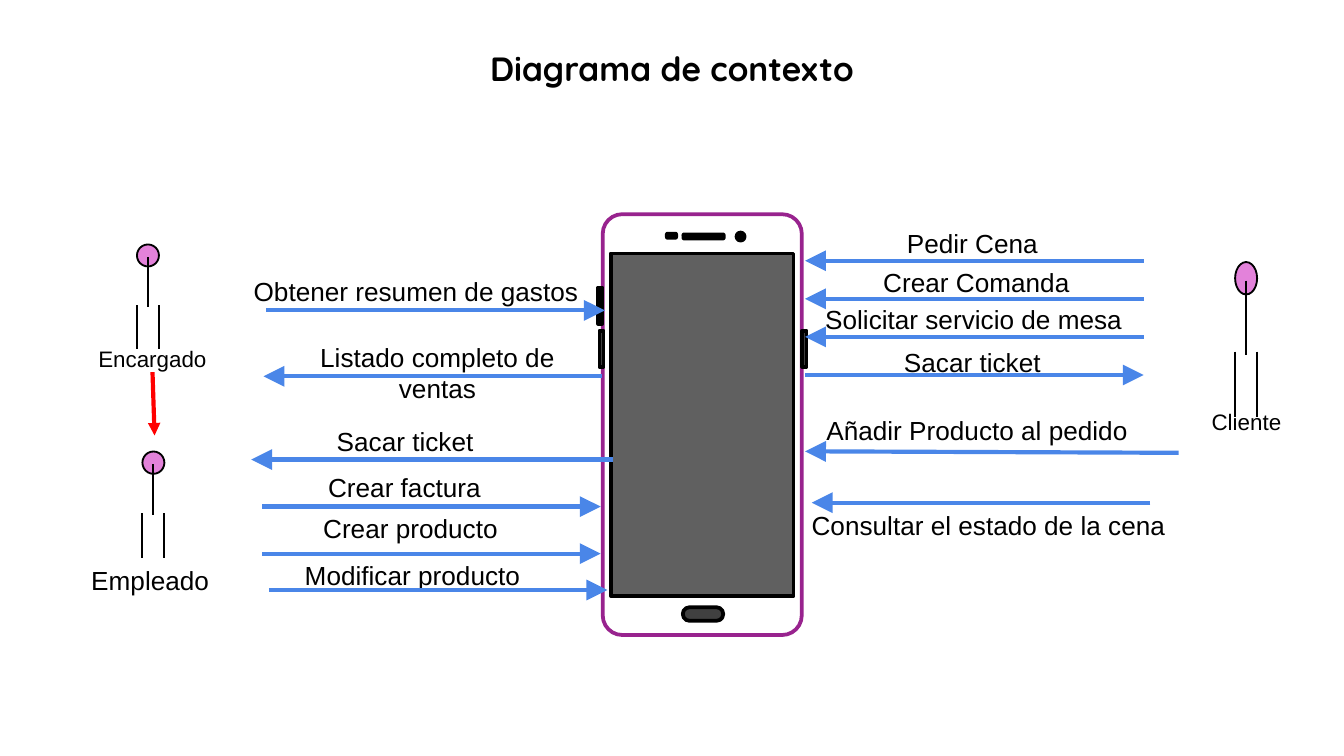
"""Builds the context diagram slide: a phone, its users and their messages."""
from lxml.etree import SubElement
from pptx import Presentation
from pptx.dml.color import RGBColor
from pptx.enum.shapes import MSO_CONNECTOR, MSO_SHAPE
from pptx.enum.text import MSO_ANCHOR, MSO_AUTO_SIZE, PP_ALIGN
from pptx.oxml.ns import qn
from pptx.util import Pt

COLORS = {
    "ink": "000000", "paper": "FFFFFF", "case": "98238E", "screen": "606060",
    "button": "404040", "head": "E382DA", "flow": "4A86E8", "order": "FF0000",
}
SPAN = 181.4
LEFT, CENTER = PP_ALIGN.LEFT, PP_ALIGN.CENTER
RECT, ROUND, OVAL = MSO_SHAPE.RECTANGLE, MSO_SHAPE.ROUNDED_RECTANGLE, MSO_SHAPE.OVAL


class Sketch:
    def __init__(self, slide):
        self.slide = slide
        self.font = "Arial"
        self.size = 14

    def color(self, name):
        return RGBColor.from_string(COLORS[name])

    def style(self, frame, font, size, align, bold=False):
        for para in frame.paragraphs:
            para.alignment = align
            for run in para.runs:
                run.font.name = font
                run.font.size = Pt(size)
                run.font.bold = bold
                run.font.color.rgb = self.color("ink")

    def title(self, text, box):
        holder = self.slide.shapes.title
        holder.left, holder.top, holder.width, holder.height = map(Pt, box)
        frame = holder.text_frame
        frame.text = text
        frame.vertical_anchor = MSO_ANCHOR.MIDDLE
        self.style(frame, "Quicksand", 18, CENTER, True)

    def label(self, text, box, align=CENTER, size=None, pad=3.6, indent=7.2,
              grow=False, host=None):
        shape = (host or self.slide).shapes.add_textbox(*map(Pt, box))
        frame = shape.text_frame
        frame.text = text
        frame.word_wrap = True
        frame.auto_size = MSO_AUTO_SIZE.SHAPE_TO_FIT_TEXT if grow else MSO_AUTO_SIZE.NONE
        frame.margin_left, frame.margin_right = Pt(indent), Pt(7.2)
        frame.margin_top = frame.margin_bottom = Pt(pad)
        self.style(frame, self.font, size or self.size, align)
        return shape

    def shape(self, kind, box, fill, line="ink", width=2, turn=0, round=None, host=None):
        shape = (host or self.slide).shapes.add_shape(kind, *map(Pt, box))
        shape.shadow.inherit = False
        shape.rotation = turn
        if round is not None:
            shape.adjustments[0] = round
        shape.fill.solid()
        shape.fill.fore_color.rgb = self.color(fill)
        shape.line.color.rgb = self.color(line)
        shape.line.width = Pt(width)

    def line(self, start, end, color="ink", width=1, tip=None, host=None):
        line = (host or self.slide).shapes.add_connector(
            MSO_CONNECTOR.STRAIGHT, *map(Pt, (*start, *end)))
        line.line.color.rgb = self.color(color)
        line.line.width = Pt(width)
        if tip:
            SubElement(line.line._get_or_add_ln(), qn("a:tailEnd"),
                       type="triangle", w=tip, len=tip)
        SubElement(line._element.spPr, qn("a:effectLst"))
        return line

    def flow(self, left, top, run=SPAN, rise=0):
        self.line((left, top), (left + run, top + rise), "flow", 2.25, "lg")

    def phone(self, parts):
        group = self.slide.shapes.add_group_shape()
        for kind, box, fill, line, round in parts:
            self.shape(kind, box, fill, line, turn=90, round=round, host=group)

    def actor(self, left, top, tall, name=None, box=None):
        group = self.slide.shapes.add_group_shape()
        wide = 11.8
        self.shape(OVAL, (left, top, wide, 0.21 * tall), "head", width=1, host=group)
        mid = left + wide / 2
        limbs = ((mid, 0.21, 0.6), (mid, 0.12, 0.54),
                 (left, 0.58, 1), (left + wide, 0.58, 1))
        for side, high, low in limbs:
            self.line((side, top + high * tall), (side, top + low * tall), host=group)
        if name:
            return self.label(name, box, size=12, host=group)


PARTS = (
    (ROUND, (263.5, 174.2, 225.4, 106.6), "paper", "case", 0.098),
    (RECT, (284.4, 178.6, 183.6, 97.9), "screen", "ink", None),
    (ROUND, (375.8, 115.9, 2.2, 21.6), "paper", "ink", 0.167),
    (ROUND, (373, 318.2, 7.2, 21.6), "button", "ink", 0.474),
    (OVAL, (394.6, 124.6, 4.3, 4.3), "ink", "ink", None),
    (ROUND, (358.6, 123.8, 2.2, 5), "ink", "ink", 0.167),
    (RECT, (421.2, 185.8, 19.4, 2.2), "button", "ink", None),
    (RECT, (312.5, 185.8, 19.4, 2.2), "button", "ink", None),
    (RECT, (311.8, 162.7, 19.4, 2.2), "button", "ink", None),
)
LABELS = (
    ("Empleado", (41.8, 298.8, 81.4, 24.5), LEFT),
    ("Pedir Cena", (431.3, 118.1, 179.3, 24.5), CENTER),
    ("Crear Comanda", (431.3, 139, 183.6, 24.5), CENTER),
    ("Solicitar servicio de mesa", (431.3, 159.1, 180.7, 24.5), CENTER),
    ("Sacar ticket", (431.3, 182.2, 179.3, 24.5), CENTER),
    ("Consultar el estado de la cena", (427.7, 269.3, 210.2, 34.6), LEFT),
    ("Obtener resumen de gastos", (124.6, 144, 196.6, 24.5), CENTER),
    ("Listado completo de ventas", (144, 179.3, 180.7, 12.2), CENTER),
    ("Sacar ticket", (126.7, 224.6, 180.7, 24.5), CENTER),
    ("Crear factura", (125.3, 249.1, 182.9, 24.5), CENTER),
)
NOTES = (
    ("Añadir Producto al pedido", (435.6, 214.6, 179.3, 17.3), 7.2),
    ("Crear producto", (142.6, 267.1, 164.9, 24.5), 30.5),
    ("Modificar producto", (156.2, 292.3, 146.9, 29.5), 7.2),
)
FLOWS = (
    (142.6, 166.3), (322.6, 201.6, -SPAN), (328.3, 246.2, -193.7),
    (140.4, 271.4), (140.4, 296.6), (144, 316.1),
    (631.4, 242.6, -200.1, -0.8), (616.3, 269.3, -SPAN),
)


def main():
    deck = Presentation()
    deck.slide_width, deck.slide_height = Pt(720), Pt(405)
    art = Sketch(deck.slides.add_slide(deck.slide_layouts[5]))
    art.title("Diagrama de contexto", (49.7, 21.6, 620.6, 29.5))
    art.phone(PARTS)
    for text, box, align in LABELS:
        art.label(text, box, align, grow=True)
    for text, box, indent in NOTES:
        art.label(text, box, LEFT, pad=7.2, indent=indent)
    for step in range(3):
        art.flow(612.7, 139.7 + 20.4 * step, -SPAN)
    art.flow(431.3, 200.9)
    for flow in FLOWS:
        art.flow(*flow)
    art.actor(661.7, 140.4, 82.8, "Cliente", (638.6, 215.3, 58.3, 26.6))
    boss = art.actor(73.4, 131, 56.2, "Encargado", (43.2, 181.4, 77, 18))
    art.actor(76.3, 241.9, 56.9)
    order = art.line((82, 199), (82.8, 233.3), "order", 2.25, "med")
    order.begin_connect(boss, 2)
    deck.save("out.pptx")


if __name__ == "__main__":
    main()
